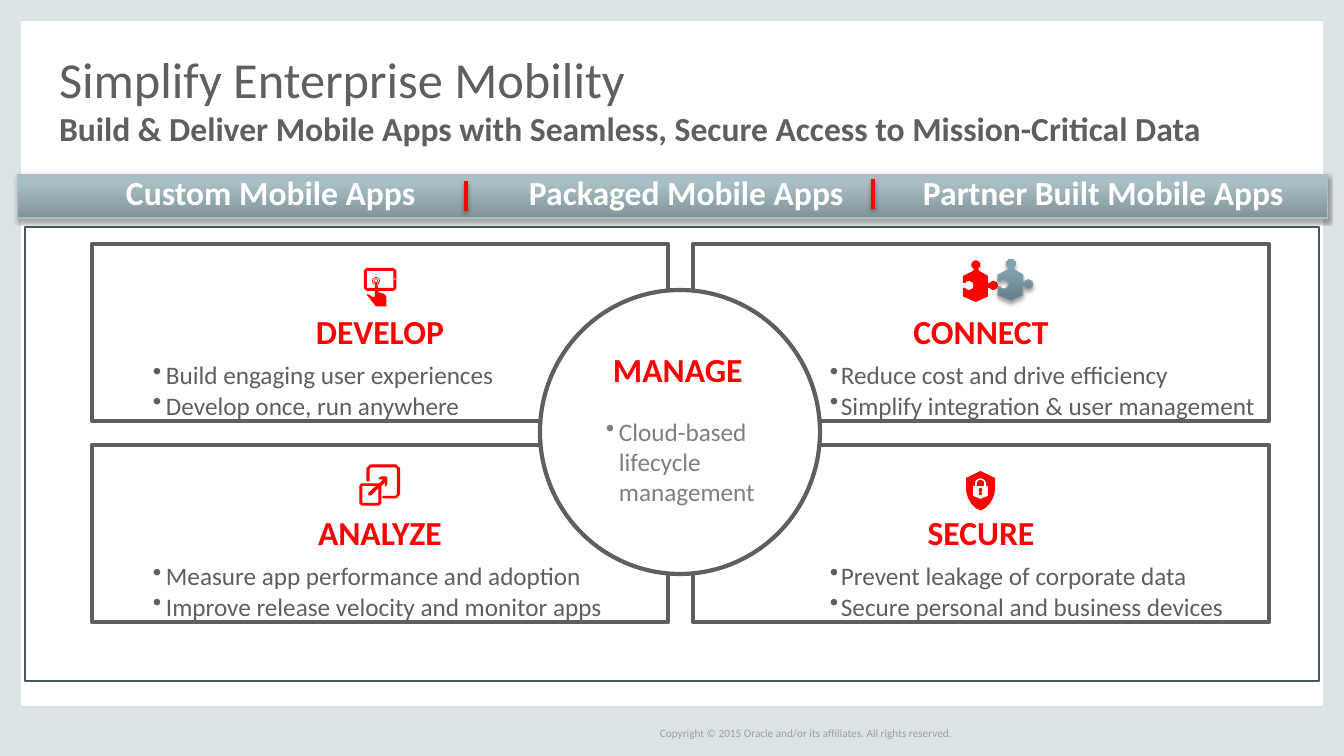
import math

import pptx
import pptx.dml.color
import pptx.enum.shapes
import pptx.enum.text
import pptx.oxml
import pptx.oxml.ns
import pptx.util

PX = 914400 / 100.8
ICON_STEP = PX / 2  # icons are plotted on a half-pixel grid
RED, GREY, WHITE, BORDER = "FF0000", "5F5F5F", "FFFFFF", "DCE3E4"
SHAPES = pptx.enum.shapes.MSO_SHAPE
ALIGN = pptx.enum.text.PP_ALIGN
ANCHOR = pptx.enum.text.MSO_ANCHOR
SHADOW = (
    '<a:outerShdw %s blurRad="39370" dist="22860" dir="5400000" rotWithShape="0">'
    '<a:srgbClr val="000000"><a:alpha val="35000"/></a:srgbClr></a:outerShdw>'
    % pptx.oxml.ns.nsdecls("a"))


def px(length):
    return pptx.util.Emu(round(length * PX))


def color(value):
    return pptx.dml.color.RGBColor.from_string(value)


def paint(shape, fill, line=None, weight=0.75):
    """Fill with one colour, or with a (bottom, top) gradient, and set the outline."""
    shape.shadow.inherit = False
    if isinstance(fill, tuple):
        shape.fill.gradient()
        shape.fill.gradient_angle = 90
        for stop, position, shade in zip(shape.fill.gradient_stops, (0, 0.8), fill):
            stop.position = position
            stop.color.rgb = color(shade)
    else:
        shape.fill.solid()
        shape.fill.fore_color.rgb = color(fill)
    if line:
        shape.line.color.rgb = color(line)
        shape.line.width = pptx.util.Pt(weight)
    else:
        shape.line.fill.background()


def add_shadow(item):
    properties = item._element.spPr
    effects = properties.find(pptx.oxml.ns.qn("a:effectLst"))
    if effects is None:
        effects = pptx.oxml.parse_xml("<a:effectLst %s/>" % pptx.oxml.ns.nsdecls("a"))
        properties.append(effects)
    effects.append(pptx.oxml.parse_xml(SHADOW))


def add_block(page, box, fill, line=None, weight=0.75, kind=SHAPES.RECTANGLE):
    shape = page.shapes.add_shape(kind, *map(px, box))
    paint(shape, fill, line, weight)
    return shape


def prepare_frame(shape, inset=(0, 0, 0, 0), anchor=ANCHOR.TOP):
    frame = shape.text_frame
    frame.word_wrap = True
    frame.vertical_anchor = anchor
    (frame.margin_left, frame.margin_top,
     frame.margin_right, frame.margin_bottom) = map(px, inset)
    return frame


def add_span(para, text, size, shade, bold=False):
    span = para.add_run()
    span.text = text
    span.font.name = "Calibri"
    span.font.size = pptx.util.Pt(size)
    span.font.bold = bold
    span.font.color.rgb = color(shade)


def add_bullet(para, text, indent, hang, shade):
    para.alignment = ALIGN.LEFT
    properties = para._p.get_or_add_pPr()
    properties.set("marL", str(px(indent)))
    properties.set("indent", str(px(-hang)))
    properties.append(pptx.oxml.parse_xml(
        '<a:buChar %s char="•"/>' % pptx.oxml.ns.nsdecls("a")))
    add_span(para, text, 18, shade)


def add_label(page, box, text, size, shade, bold=False, spacing=None, anchor=ANCHOR.TOP):
    frame = prepare_frame(page.shapes.add_textbox(*map(px, box)), anchor=anchor)
    para = frame.paragraphs[0]
    para.line_spacing = spacing
    add_span(para, text, size, shade, bold)


def arc(x, y, radius, start, end):
    """Points on a circle, in degrees measured clockwise from the right."""
    steps = max(4, abs(end - start) // 15)
    angles = [math.radians(start + (end - start) * i / steps) for i in range(steps + 1)]
    return [(x + radius * math.cos(a), y + radius * math.sin(a)) for a in angles]


def open_ring(x, y, outer, inner, start, end):
    return arc(x, y, outer, start, end) + arc(x, y, inner, end, start)


def add_icon(page, left, top, outlines, fill=RED, line=None):
    builder = page.shapes.build_freeform(*outlines[0][0], scale=ICON_STEP)
    for index, outline in enumerate(outlines):
        if index:
            builder.move_to(*outline[0])
        builder.add_line_segments(outline[1:], close=True)
    icon = builder.convert_to_shape(px(left), px(top))
    paint(icon, fill, line)
    return icon


TOUCH = [
    [(0, 5), (5, 0), (59, 0), (65, 5), (65, 41), (59, 46), (28, 46), (30, 49), (40, 52),
     (44, 56), (45, 63), (45, 77), (24, 77), (6, 54), (7, 52), (11, 54), (17, 58),
     (21, 58), (22, 54), (22, 46), (5, 46), (0, 41)],
    [(6, 6), (59, 6), (59, 40), (28, 40), (26, 28), (22, 28), (22, 40), (6, 40)],
    open_ring(24, 26, 8, 6, 125, 415),
    open_ring(24, 26, 4, 3, 140, 400),
    [(61, 20), (63, 20), (63, 24), (61, 24)],
]
PUZZLE = [
    [(0, 30), (20, 20), (22, 17), *arc(26, 8, 9, 120, 420), (31, 17), (33, 20), (50, 30),
     (50, 44), *arc(61, 49, 9, 215, 505), (50, 54), (50, 71), (26, 82), (0, 71), (0, 54),
     *arc(12, 49, 9, 145, -145), (0, 44)],
]
ARROW_SQUARE = [
    [(0, 42), (3, 38), (39, 38), (49, 28), (38, 28), (42, 24), (52, 24), (54, 26),
     (54, 37), (51, 42), (51, 32), (42, 42), (42, 76), (38, 80), (4, 80), (0, 76)],
    [(38, 44), (38, 75), (37, 77), (5, 77), (4, 75), (4, 42), (5, 41), (34, 41),
     (18, 56), (18, 60), (22, 60)],
]
BACK_SQUARE = [
    [(14, 32), (14, 7), (21, 0), (72, 0), (79, 7), (79, 59), (72, 66), (46, 66), (46, 63),
     (71, 63), (75, 59), (75, 7), (71, 4), (22, 4), (18, 7), (18, 32)],
]
SHIELD = [
    [(29, 0), (58, 14), (58, 40), (54, 54), (47, 66), (39, 74), (29, 79), (19, 74),
     (11, 66), (4, 54), (0, 40), (0, 14)],
    [(44, 50), (29, 56), (14, 50), (14, 30), (18, 30), *arc(29, 26, 11, 180, 360),
     (40, 30), (44, 30)],
    [(22, 30), *arc(29, 25, 7, 180, 360), (36, 30)],
    [*arc(29, 38, 4, 120, 420), (32, 48), (26, 48)],
]


def add_border(page):
    for box in ((0, 0, 21, 756), (1323, 0, 21, 756), (0, 706, 1344, 50), (0, 0, 1344, 21)):
        add_block(page, box, BORDER)
    add_label(page, (660, 723, 320, 20),
              "Copyright © 2015 Oracle and/or its affiliates. All rights reserved.",
              8, "9F9F9F", anchor=ANCHOR.MIDDLE)


def add_heading(page, left, top, width):
    add_label(page, (left, top, width, 98), "Simplify Enterprise Mobility",
              36, GREY, spacing=0.8, anchor=ANCHOR.BOTTOM)
    add_label(page, (left, top + 102, width, 38),
              "Build & Deliver Mobile Apps with Seamless, Secure Access to Mission-Critical Data",
              24, GREY, True, 0.9)


def add_banner(page, left, top, width, height):
    add_shadow(add_block(page, (left, top, width, height), ("819398", "A7BFC5"), "ACBFC4"))
    for x, y in ((448, 7), (855, 5)):
        divider = page.shapes.add_connector(
            pptx.enum.shapes.MSO_CONNECTOR.STRAIGHT,
            px(left + x), px(top + y), px(left + x), px(top + y + 30))
        divider.line.color.rgb = color(RED)
        divider.line.width = pptx.util.Pt(3)
        add_shadow(divider)
    for x, text in ((108, "Custom Mobile Apps"), (511, "Packaged Mobile Apps"),
                    (905, "Partner Built Mobile Apps")):
        add_label(page, (left + x, top + 2, 390, 42), text, 24, WHITE, True, 0.9)


def add_card(page, box, title, points, indent, hang, icons):
    """Icons are (x, y, outlines, fill, line), with x and y counted from the card's corner."""
    card = add_block(page, box, WHITE, GREY, 3)
    frame = prepare_frame(card, (10, 67, 10, 0))
    para = frame.paragraphs[0]
    para.alignment = ALIGN.CENTER
    para.space_after = pptx.util.Pt(6)
    add_span(para, title, 24, RED, True)
    for point in points:
        add_bullet(frame.add_paragraph(), point, indent, hang, GREY)
    return [add_icon(page, box[0] + x, box[1] + y, *style) for x, y, *style in icons]


def add_hub(page, left, top, width, height):
    add_block(page, (left, top, width, height), WHITE, GREY, 3, SHAPES.OVAL)
    add_label(page, (left + 73, top + 63, 150, 42), "MANAGE", 24, RED, True, 0.9)
    note = page.shapes.add_textbox(px(left + 5), px(top + 121), px(260), px(102))
    add_bullet(prepare_frame(note, (10, 5, 10, 5)).paragraphs[0],
               "Cloud-based lifecycle management", 64, 13, "7F7F7F")


def main():
    deck = pptx.Presentation()
    deck.slide_width, deck.slide_height = px(1344), px(756)
    page = deck.slides.add_slide(deck.slide_layouts[6])
    add_border(page)
    add_block(page, (25, 227, 1294, 454), WHITE, "46575E", 2)
    add_heading(page, 59, 10, 1226)
    left, right, upper, lower, size = 92, 693, 244, 445, (576, 177)
    add_card(page, (left, lower, *size), "ANALYZE",
             ["Measure app performance and adoption", "Improve release velocity and monitor apps"],
             64, 13, [(268, 20, ARROW_SQUARE, RED, RED), (268, 20, BACK_SQUARE, RED, RED)])
    add_card(page, (right, lower, *size), "SECURE",
             ["Prevent leakage of corporate data", "Secure personal and business devices"],
             138, 11, [(273, 26, SHIELD)])
    pieces = add_card(
        page, (right, upper, *size), "CONNECT",
        ["Reduce cost and drive efficiency", "Simplify integration & user management"],
        138, 11, [(270, 17, PUZZLE), (305, 16, PUZZLE, ("657D88", "83A3B1"), "89A3AE")])
    add_shadow(pieces[1])
    add_card(page, (left, upper, *size), "DEVELOP",
             ["Build engaging user experiences", "Develop once, run anywhere"],
             64, 13, [(272, 24, TOUCH)])
    add_hub(page, 540, 290, 280, 284)
    add_banner(page, 18, 174, 1310, 44)
    deck.save("out.pptx")


if __name__ == "__main__":
    main()
